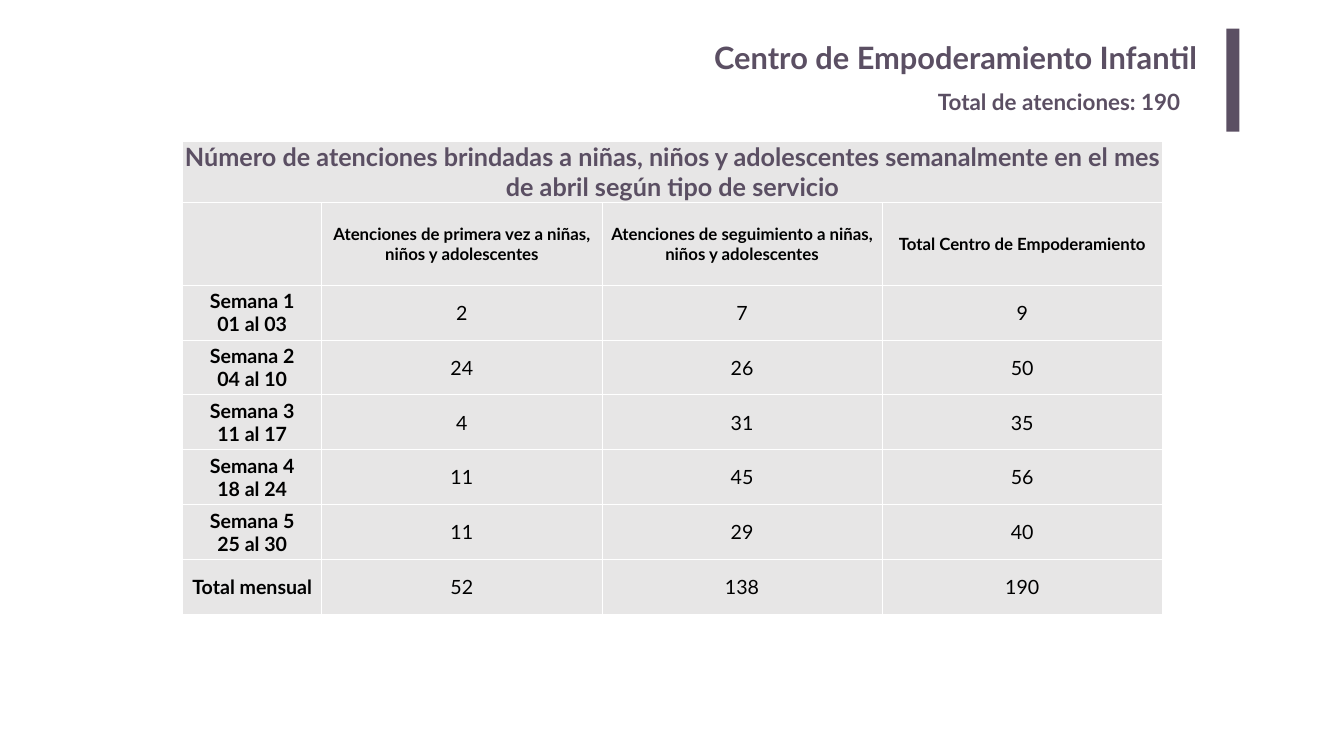
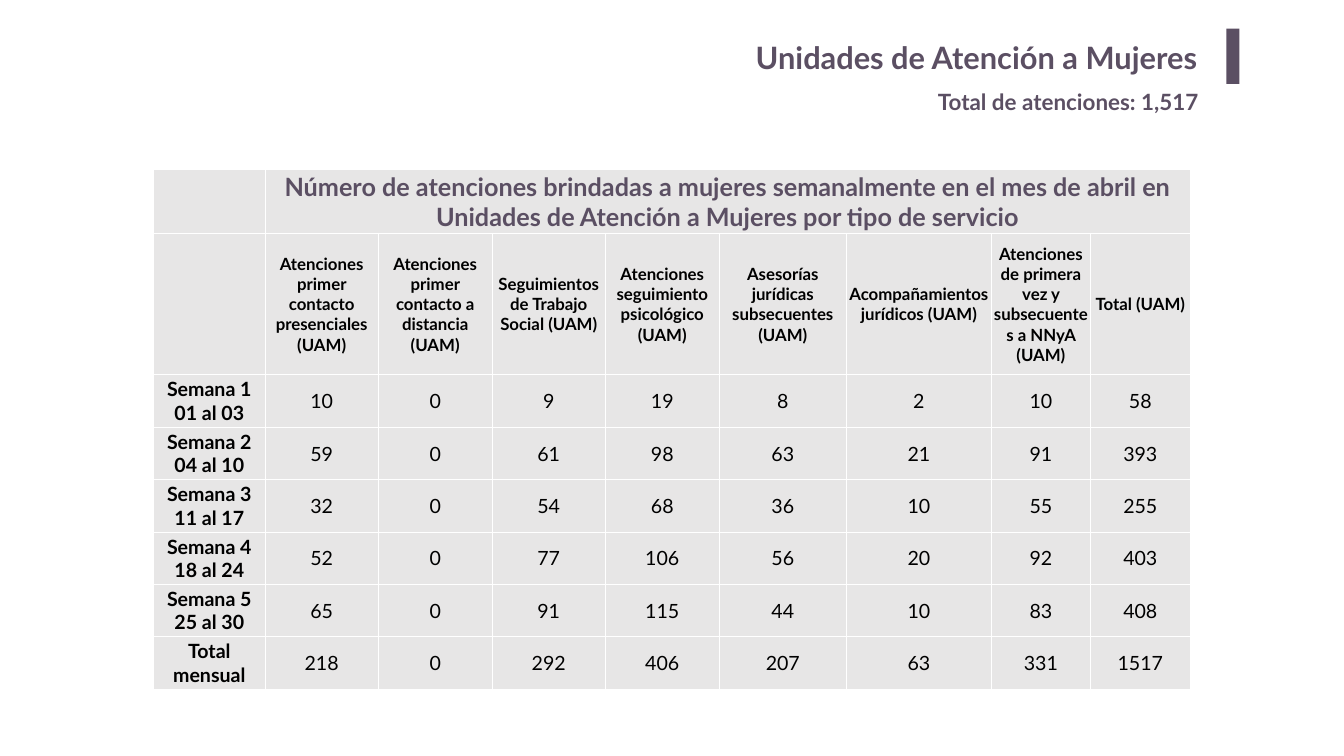
from dataclasses import dataclass
from typing import NamedTuple

from lxml.etree import SubElement
from pptx import Presentation
from pptx.dml.color import RGBColor
from pptx.enum.shapes import MSO_SHAPE
from pptx.enum.text import MSO_ANCHOR, MSO_AUTO_SIZE, PP_ALIGN
from pptx.oxml.ns import qn
from pptx.slide import Slide
from pptx.table import _Cell as Cell
from pptx.text.text import TextFrame
from pptx.util import Length, Pt


class Style(NamedTuple):
    size: int
    color: RGBColor
    bold: bool = True


PLUM = RGBColor(0x5B, 0x4F, 0x63)
BLACK = RGBColor(0, 0, 0)


@dataclass(frozen=True)
class Theme:
    font: str = "Lato"
    accent: RGBColor = PLUM
    cell_fill: RGBColor = RGBColor(0xE7, 0xE6, 0xE6)
    border: str = "FFFFFF"
    title: Style = Style(44, PLUM)
    subtitle: Style = Style(32, PLUM)
    caption: Style = Style(36, PLUM)
    header: Style = Style(24, BLACK)
    label: Style = Style(28, BLACK)
    value: Style = Style(28, BLACK, False)


THEME = Theme()


class Box(NamedTuple):
    left: Length
    top: Length
    width: Length
    height: Length


TITLE_BOX = Box(Pt(263.5), Pt(48.25), Pt(1461.6), Pt(73.45))
SUBTITLE_BOX = Box(Pt(1332.7), Pt(121.7), Pt(396.7), Pt(46))

WEEKS = (
    "Semana 1\v01 al 03",
    "Semana 2\v04 al 10",
    "Semana 3\v11 al 17",
    "Semana 4\v18 al 24",
    "Semana 5\v25 al 30",
)


@dataclass(frozen=True)
class ServiceReport:
    """One slide; counts holds a row per week and a column per service."""

    title: str
    caption: str
    caption_column: int
    headers: tuple[str, ...]
    counts: tuple[tuple[int, ...], ...]
    bar_height: Length
    table_left: Length
    table_top: Length
    column_widths: tuple[Length, ...]
    caption_height: Length
    header_height: Length
    row_height: Length

    def rows_with_totals(self) -> list[list[int]]:
        rows = [[*week, sum(week)] for week in self.counts]
        return rows + [[sum(column) for column in zip(*rows)]]


REPORTS = (
    ServiceReport(
        title="Centro de Empoderamiento Infantil",
        caption="Número de atenciones brindadas a niñas, niños y adolescentes "
        "semanalmente en el mes de abril según tipo de servicio",
        caption_column=0,
        headers=(
            "Atenciones de primera vez a niñas, niños y adolescentes",
            "Atenciones de seguimiento a niñas, niños y adolescentes",
            "Total Centro de Empoderamiento",
        ),
        counts=((2, 7), (24, 26), (4, 31), (11, 45), (11, 29)),
        bar_height=Pt(147),
        table_left=Pt(260.9),
        table_top=Pt(201.8),
        column_widths=(Pt(198.7),) + (Pt(400.3),) * 3,
        caption_height=Pt(87),
        header_height=Pt(118),
        row_height=Pt(78.5),
    ),
    ServiceReport(
        title="Unidades de Atención a Mujeres",
        caption="Número de atenciones brindadas a mujeres semanalmente en el mes "
        "de abril en Unidades de Atención a Mujeres por tipo de servicio",
        caption_column=1,
        headers=(
            "Atenciones primer contacto presenciales (UAM)",
            "Atenciones primer contacto a distancia (UAM)",
            "Seguimientos de Trabajo Social (UAM)",
            "Atenciones seguimiento psicológico (UAM)",
            "Asesorías jurídicas subsecuentes (UAM)",
            "Acompañamientos jurídicos (UAM)",
            "Atenciones de primera vez y subsecuentes a NNyA (UAM)",
            "Total (UAM)",
        ),
        counts=(
            (10, 0, 9, 19, 8, 2, 10),
            (59, 0, 61, 98, 63, 21, 91),
            (32, 0, 54, 68, 36, 10, 55),
            (52, 0, 77, 106, 56, 20, 92),
            (65, 0, 91, 115, 44, 10, 83),
        ),
        bar_height=Pt(79),
        table_left=Pt(219.6),
        table_top=Pt(241.4),
        column_widths=(Pt(158.8), *(Pt(162.2),) * 4, Pt(182.2), Pt(206.6),
                       Pt(142), Pt(142)),
        caption_height=Pt(92),
        header_height=Pt(202),
        row_height=Pt(74.8),
    ),
)


def write(frame: TextFrame, text: str, style: Style, alignment: PP_ALIGN) -> None:
    frame.text = text
    frame.word_wrap = True
    for paragraph in frame.paragraphs:
        paragraph.alignment = alignment
        for run in paragraph.runs:
            run.font.name = THEME.font
            run.font.size = Pt(style.size)
            run.font.bold = style.bold
            run.font.color.rgb = style.color


def add_text(slide: Slide, box: Box, text: str, style: Style,
             alignment: PP_ALIGN, margin: Length) -> TextFrame:
    """Add a text box whose side margins are twice its top and bottom ones."""
    frame = slide.shapes.add_textbox(*box).text_frame
    frame.margin_left = frame.margin_right = margin * 2
    frame.margin_top = frame.margin_bottom = margin
    write(frame, text, style, alignment)
    return frame


def add_heading(slide: Slide, report: ServiceReport, total: int) -> None:
    bar = slide.shapes.add_shape(
        MSO_SHAPE.RECTANGLE, Pt(1751.8), Pt(41), Pt(18.7), report.bar_height)
    bar.shadow.inherit = False
    bar.fill.solid()
    bar.fill.fore_color.rgb = THEME.accent
    bar.line.fill.background()
    add_text(slide, TITLE_BOX, report.title, THEME.title, PP_ALIGN.RIGHT, Pt(7.2))
    subtitle = add_text(slide, SUBTITLE_BOX, f"Total de atenciones: {total:,}",
                        THEME.subtitle, PP_ALIGN.LEFT, Pt(3.6))
    subtitle.auto_size = MSO_AUTO_SIZE.SHAPE_TO_FIT_TEXT


def style_cell(cell: Cell) -> None:
    properties = cell._tc.get_or_add_tcPr()
    for side in ("a:lnL", "a:lnR", "a:lnT", "a:lnB"):
        line = SubElement(properties, qn(side), w=str(Pt(1)))
        fill = SubElement(line, qn("a:solidFill"))
        SubElement(fill, qn("a:srgbClr"), val=THEME.border)
    cell.fill.solid()
    cell.fill.fore_color.rgb = THEME.cell_fill
    cell.vertical_anchor = MSO_ANCHOR.MIDDLE
    cell.margin_left = cell.margin_right = cell.margin_top = Pt(0.75)
    cell.margin_bottom = Pt(0)


def add_service_table(slide: Slide, report: ServiceReport,
                      rows: list[list[int]]) -> None:
    heights = [report.caption_height, report.header_height]
    heights += [report.row_height] * len(rows)
    widths = report.column_widths
    table = slide.shapes.add_table(
        len(heights), len(widths), report.table_left, report.table_top,
        sum(widths), sum(heights)).table
    table.first_row = table.horz_banding = False
    for column, width in zip(table.columns, widths):
        column.width = width
    for row, height in zip(table.rows, heights):
        row.height = height
    for cell in table.iter_cells():
        style_cell(cell)

    def put(row: int, column: int, text: str, style: Style) -> None:
        write(table.cell(row, column).text_frame, text, style, PP_ALIGN.CENTER)

    caption_cell = table.cell(0, report.caption_column)
    caption_cell.merge(table.cell(0, len(widths) - 1))
    put(0, report.caption_column, report.caption, THEME.caption)
    for column, header in enumerate(report.headers, start=1):
        put(1, column, header, THEME.header)
    labels = (*WEEKS, "Total mensual")
    for row, (label, values) in enumerate(zip(labels, rows), start=2):
        put(row, 0, label, THEME.label)
        for column, value in enumerate(values, start=1):
            put(row, column, str(value), THEME.value)


def main() -> None:
    presentation = Presentation()
    presentation.slide_width = Pt(1920)
    presentation.slide_height = Pt(1080)
    blank_layout = presentation.slide_layouts[6]
    for report in REPORTS:
        slide = presentation.slides.add_slide(blank_layout)
        rows = report.rows_with_totals()
        add_heading(slide, report, total=rows[-1][-1])
        add_service_table(slide, report, rows)
    presentation.save("out.pptx")


if __name__ == "__main__":
    main()
